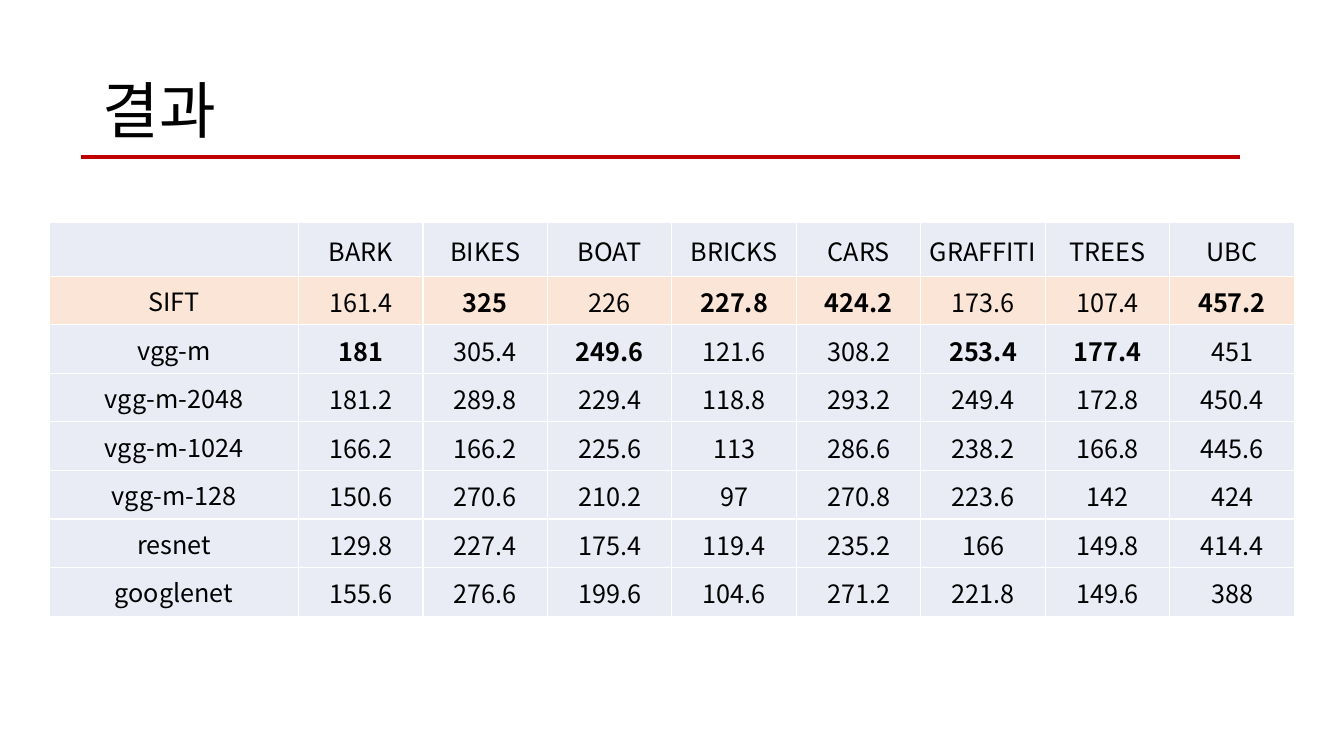
from lxml import etree
from pptx import Presentation
from pptx.dml.color import RGBColor
from pptx.enum.shapes import MSO_CONNECTOR
from pptx.enum.text import MSO_ANCHOR, PP_ALIGN
from pptx.oxml.ns import qn
from pptx.util import Inches, Pt

STRAIGHT = MSO_CONNECTOR.STRAIGHT
MIDDLE = MSO_ANCHOR.MIDDLE
LEFT, CENTER = PP_ALIGN.LEFT, PP_ALIGN.CENTER

FONT = "Noto Sans CJK KR"
COLORS = {
    "text": "000000",
    "rule": "C00000",
    "cell": "E9EBF5",
    "highlight": "FBE5D6",
    "border": "FFFFFF",
}

DATASETS = ["BARK", "BIKES", "BOAT", "BRICKS", "CARS", "GRAFFITI", "TREES", "UBC"]
SCORES = {
    "SIFT": [161.4, 325, 226, 227.8, 424.2, 173.6, 107.4, 457.2],
    "vgg-m": [181, 305.4, 249.6, 121.6, 308.2, 253.4, 177.4, 451],
    "vgg-m-2048": [181.2, 289.8, 229.4, 118.8, 293.2, 249.4, 172.8, 450.4],
    "vgg-m-1024": [166.2, 166.2, 225.6, 113, 286.6, 238.2, 166.8, 445.6],
    "vgg-m-128": [150.6, 270.6, 210.2, 97, 270.8, 223.6, 142, 424],
    "resnet": [129.8, 227.4, 175.4, 119.4, 235.2, 166, 149.8, 414.4],
    "googlenet": [155.6, 276.6, 199.6, 104.6, 271.2, 221.8, 149.6, 388],
}
BOLD_DATASETS = {
    "SIFT": {"BIKES", "BRICKS", "CARS", "UBC"},
    "vgg-m": {"BARK", "BOAT", "GRAFFITI", "TREES"},
}
HIGHLIGHTED = "SIFT"


def rgb(name):
    return RGBColor.from_string(COLORS[name])


class ResultPage:
    """Holds the slide and draws each kind of element in its style."""

    def __init__(self, deck):
        self.page = deck.slides.add_slide(deck.slide_layouts[5])

    def style_text(self, para, size, align, bold=False):
        para.alignment = align
        for span in para.runs:
            span.font.size = Pt(size)
            span.font.bold = bold
            span.font.color.rgb = rgb("text")
            span.font.name = FONT
            east_asian = etree.SubElement(span.font._element, qn("a:ea"))
            east_asian.set("typeface", FONT)

    def title(self, text, left, top, width, height):
        box = self.page.shapes.title
        box.left, box.top = Inches(left), Inches(top)
        box.width, box.height = Inches(width), Inches(height)
        box.text_frame.text = text
        box.text_frame.vertical_anchor = MIDDLE
        para = box.text_frame.paragraphs[0]
        para.line_spacing = 0.9
        self.style_text(para, 44, LEFT)

    def rule(self, left, right, y):
        line = self.page.shapes.add_connector(
            STRAIGHT, Inches(left), Inches(y), Inches(right), Inches(y))
        line.line.color.rgb = rgb("rule")
        line.line.width = Pt(3)
        etree.SubElement(line._element.spPr, qn("a:effectLst"))

    def table(self, left, top, column_widths, row_heights):
        table = self.page.shapes.add_table(
            len(row_heights), len(column_widths), Inches(left), Inches(top),
            Inches(sum(column_widths)), Inches(sum(row_heights))).table
        table.first_row = table.horz_banding = False
        for column, width in zip(table.columns, column_widths):
            column.width = Inches(width)
        for row, height in zip(table.rows, row_heights):
            row.height = Inches(height)
        return table

    def cell(self, cell, text, fill, margins, bold=False):
        """Fill one cell; margins are left, top, right and bottom in inches."""
        cell.fill.solid()
        cell.fill.fore_color.rgb = rgb(fill)
        cell.vertical_anchor = MIDDLE
        (cell.margin_left, cell.margin_top,
         cell.margin_right, cell.margin_bottom) = map(Inches, margins)
        cell.text_frame.text = text
        self.style_text(cell.text_frame.paragraphs[0], 18, CENTER, bold)
        self.cell_borders(cell)

    def cell_borders(self, cell):
        properties = cell._tc.get_or_add_tcPr()
        for position, side in enumerate(("a:lnL", "a:lnR", "a:lnT", "a:lnB")):
            border = etree.Element(qn(side), w=str(Pt(1)))
            fill = etree.SubElement(border, qn("a:solidFill"))
            etree.SubElement(fill, qn("a:srgbClr"), val=COLORS["border"])
            properties.insert(position, border)


def main():
    deck = Presentation()
    deck.slide_width, deck.slide_height = Inches(13.33), Inches(7.5)
    result = ResultPage(deck)
    result.title("결과", 0.92, 0.4, 11.5, 1.45)

    table = result.table(0.49, 2.21, [2.47] + [1.235] * len(DATASETS),
                         [0.53] + [0.48] * len(SCORES))
    label_margins = (0.12, 0.06, 0.12, 0.06)
    value_margins = (0.02, 0.02, 0.02, 0)
    for column, heading in enumerate([""] + DATASETS):
        result.cell(table.cell(0, column), heading, "cell", value_margins)
    for row, (method, scores) in enumerate(SCORES.items(), start=1):
        fill = "highlight" if method == HIGHLIGHTED else "cell"
        result.cell(table.cell(row, 0), method, fill, label_margins)
        for column, (dataset, score) in enumerate(zip(DATASETS, scores), start=1):
            bold = dataset in BOLD_DATASETS.get(method, ())
            result.cell(table.cell(row, column), str(score), fill, value_margins, bold)

    result.rule(0.8, 12.3, 1.56)
    deck.save("out.pptx")


if __name__ == "__main__":
    main()
